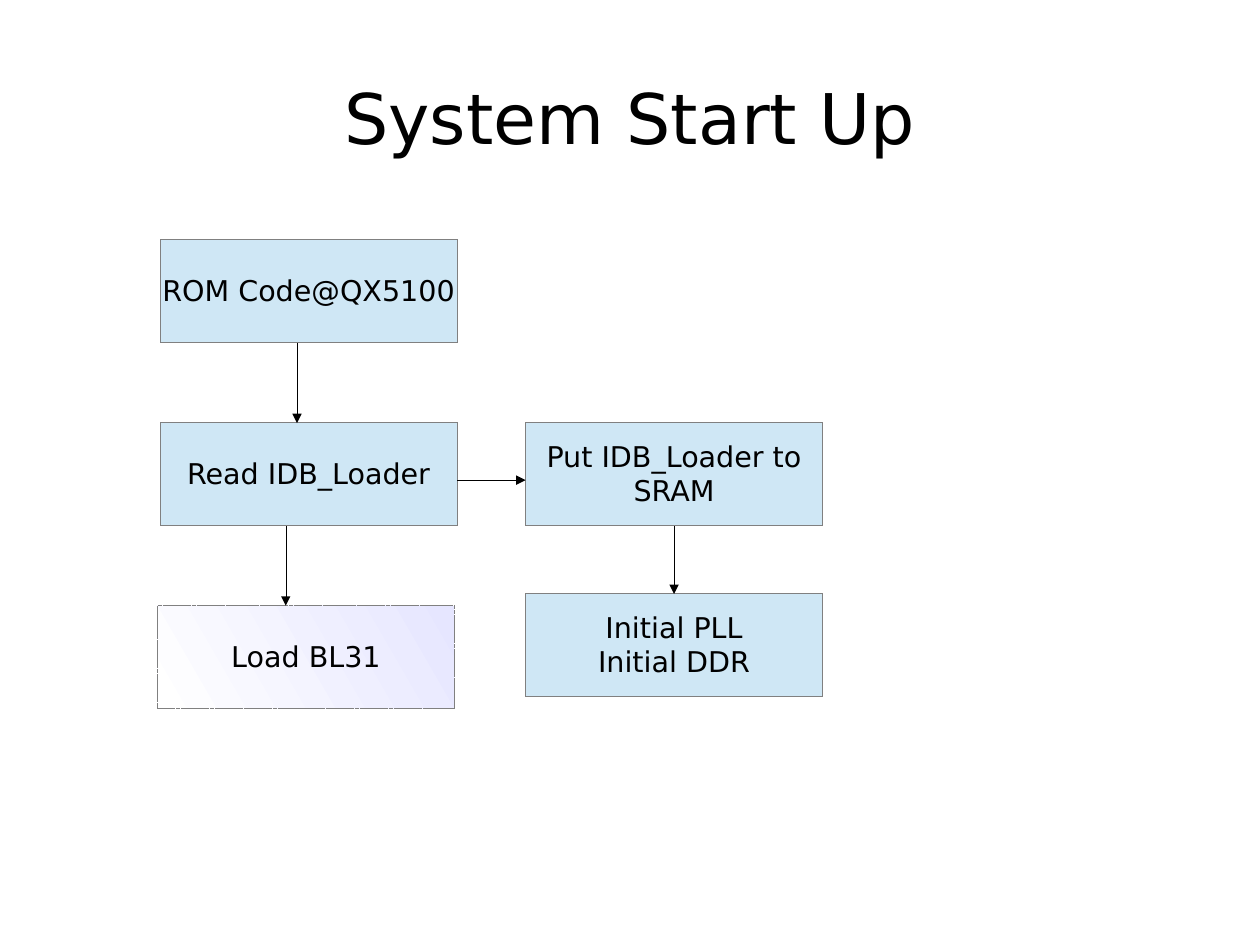
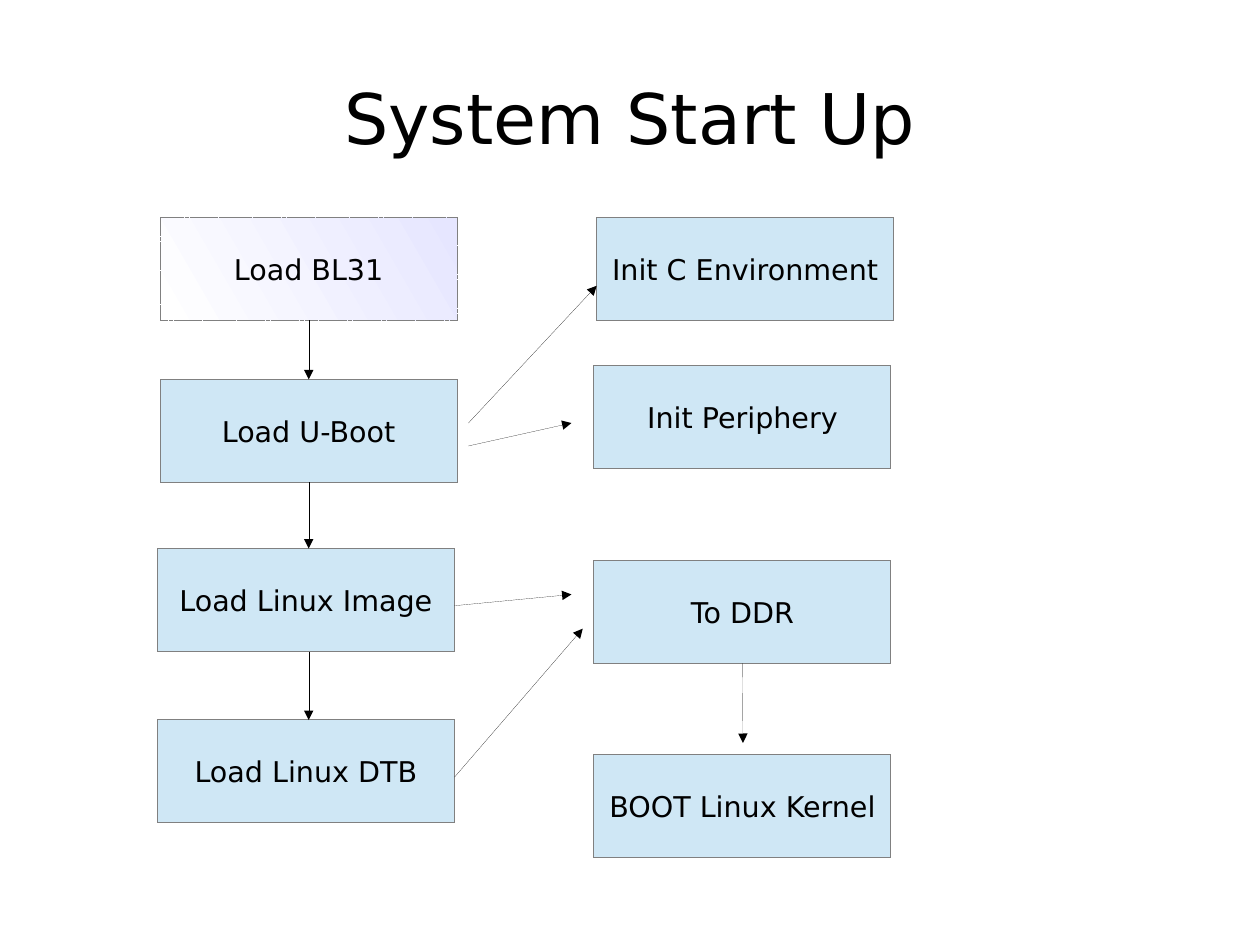
from lxml import etree
from pptx import Presentation
from pptx.dml.color import RGBColor
from pptx.enum.dml import MSO_LINE
from pptx.enum.shapes import MSO_CONNECTOR, MSO_SHAPE
from pptx.enum.text import MSO_ANCHOR, PP_ALIGN
from pptx.oxml.ns import qn
from pptx.util import Cm, Pt

FONT = "DejaVu Sans"
BLACK, GREY, SKY, LAVENDER, WHITE = "000000", "808080", "CFE7F5", "E6E6FF", "FFFFFF"
TOP, LEFT, BOTTOM, RIGHT = range(4)
BOX_WIDTH, BOX_HEIGHT = 6.6, 2.29
HANDOVER = "Load BL31"  # the step that links the two pages

# Boxes: text -> (left, top) in cm.
# Arrow ends: (box text, side) when joined to a box, else (x, y) in cm.
PAGES = [
    {
        "title": "System Start Up",
        "line_spacing": 0.98,
        "boxes": {
            "ROM Code@QX5100": (3.56, 5.33),
            "Read IDB_Loader": (3.56, 9.4),
            "Put IDB_Loader to\nSRAM": (11.68, 9.4),
            "Initial PLL\nInitial DDR": (11.68, 13.2),
            HANDOVER: (3.5, 13.46),
        },
        "arrows": [
            ((6.6, 7.62), (6.6, 9.4)),
            ((10.16, 10.67), (11.68, 10.67)),
            (("Put IDB_Loader to\nSRAM", BOTTOM), ("Initial PLL\nInitial DDR", TOP)),
            ((6.35, 11.69), (6.35, 13.46)),
        ],
    },
    {
        "title": "System Start Up",
        "line_spacing": 1.0,
        "boxes": {
            HANDOVER: (3.56, 4.83),
            "Load U-Boot": (3.56, 8.43),
            "Load Linux Image": (3.5, 12.19),
            "Load Linux DTB": (3.5, 16),
            "Init C Environment": (13.26, 4.83),
            "Init Periphery": (13.2, 8.13),
            "To DDR": (13.2, 12.45),
            "BOOT Linux Kernel": (13.2, 16.76),
        },
        "arrows": [
            ((HANDOVER, BOTTOM), ("Load U-Boot", TOP)),
            (("Load U-Boot", BOTTOM), (6.86, 12.19)),
            ((6.86, 14.48), (6.86, 16)),
            ((10.41, 9.4), (13.26, 6.35)),
            ((10.41, 9.91), (12.7, 9.4)),
            ((10.1, 13.46), (12.7, 13.21)),
            ((10.1, 17.27), (12.95, 13.97)),
            (("To DDR", BOTTOM), (16.51, 16.51)),
        ],
    },
]


def rgb(value):
    return RGBColor.from_string(value)


def set_all(target, values):
    for name, value in values.items():
        setattr(target, name, value)


def draw_hairline(shape, color):
    """Colour the outline and write its zero width, which overrides the theme's."""
    shape.line.color.rgb = rgb(color)
    outline = shape._element.spPr.find(qn("a:ln"))
    outline.set("w", "0")
    return outline


def style_text(frame, size, line_spacing=None):
    frame.vertical_anchor = MSO_ANCHOR.MIDDLE
    for para in frame.paragraphs:
        set_all(para, {"alignment": PP_ALIGN.CENTER, "line_spacing": line_spacing})
        set_all(para.font, {"name": FONT, "size": Pt(size)})
        para.font.color.rgb = rgb(BLACK)


def paint_handover(box):
    """Give the linking step its dashed outline and gradient."""
    box.line.dash_style = MSO_LINE.SQUARE_DOT
    box.fill.gradient()
    box.fill.gradient_angle = 210
    for stop, color in zip(box.fill.gradient_stops, (LAVENDER, WHITE)):
        stop.color.rgb = rgb(color)


def add_box(page, text, corner, line_spacing):
    left, top = corner
    box = page.shapes.add_shape(MSO_SHAPE.RECTANGLE, Cm(left), Cm(top),
                                Cm(BOX_WIDTH), Cm(BOX_HEIGHT))
    box.shadow.inherit = False
    draw_hairline(box, GREY)
    if text == HANDOVER:
        paint_handover(box)
    else:
        box.fill.solid()
        box.fill.fore_color.rgb = rgb(SKY)
    box.text_frame.text = text
    box.text_frame.word_wrap = False
    style_text(box.text_frame, 18, line_spacing)
    return box


def add_arrow(page, boxes, start, end):
    free = [(0, 0) if point[0] in boxes else point for point in (start, end)]
    arrow = page.shapes.add_connector(MSO_CONNECTOR.STRAIGHT,
                                      *(Cm(value) for point in free for value in point))
    for point, join in ((start, arrow.begin_connect), (end, arrow.end_connect)):
        if point[0] in boxes:
            join(boxes[point[0]], point[1])
    etree.SubElement(draw_hairline(arrow, BLACK), qn("a:tailEnd"), type="triangle")
    etree.SubElement(arrow._element.spPr, qn("a:effectLst"))


def add_page(deck, layout, content):
    page = deck.slides.add_slide(layout)
    title = page.shapes.title
    title.text = content["title"]
    style_text(title.text_frame, 44)
    boxes = {text: add_box(page, text, corner, content["line_spacing"])
             for text, corner in content["boxes"].items()}
    for start, end in content["arrows"]:
        add_arrow(page, boxes, start, end)


def main():
    deck = Presentation()
    set_all(deck, {"slide_width": Cm(28), "slide_height": Cm(21)})
    layout = deck.slide_layouts.get_by_name("Title Only")
    title = layout.placeholders[0]
    set_all(title, {"left": Cm(1.4), "top": Cm(0.84), "width": Cm(25.2), "height": Cm(3.5)})
    set_all(title.text_frame, {f"margin_{side}": 0 for side in ("left", "top", "right", "bottom")})
    for content in PAGES:
        add_page(deck, layout, content)
    deck.save("out.pptx")


if __name__ == "__main__":
    main()
